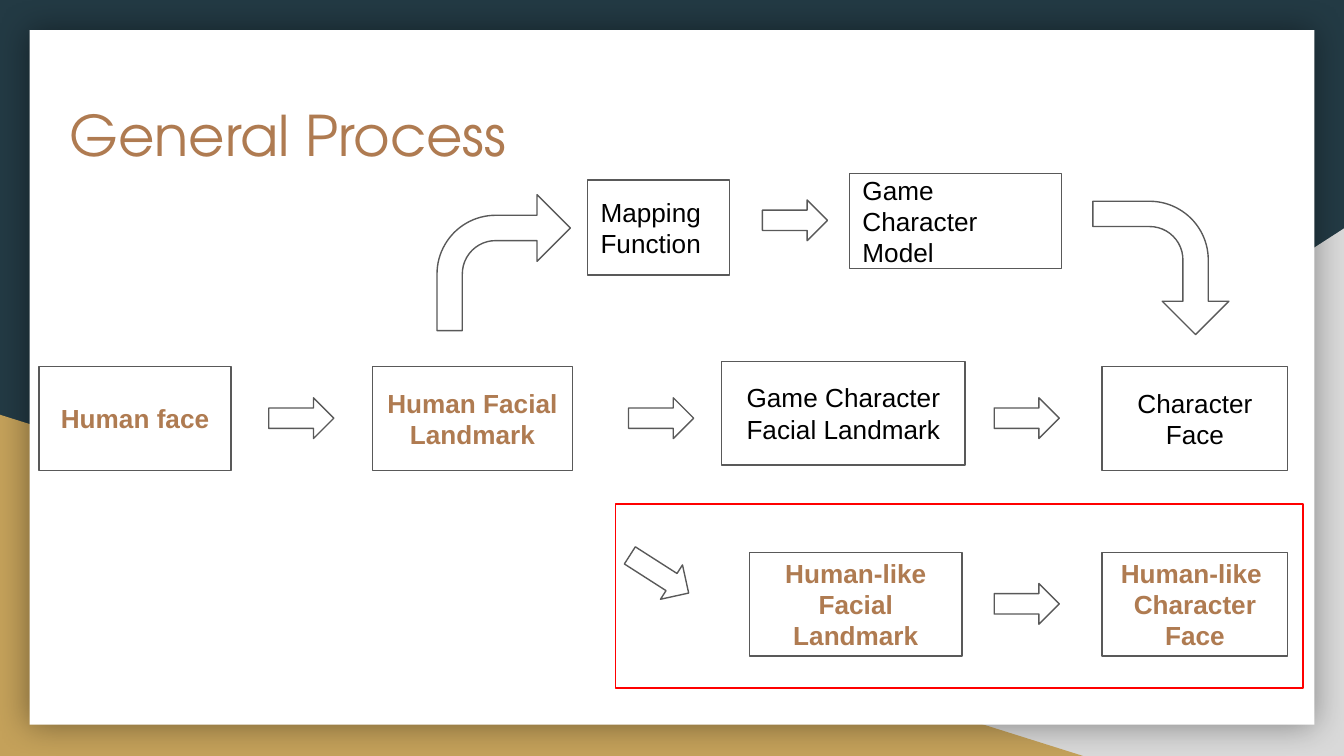
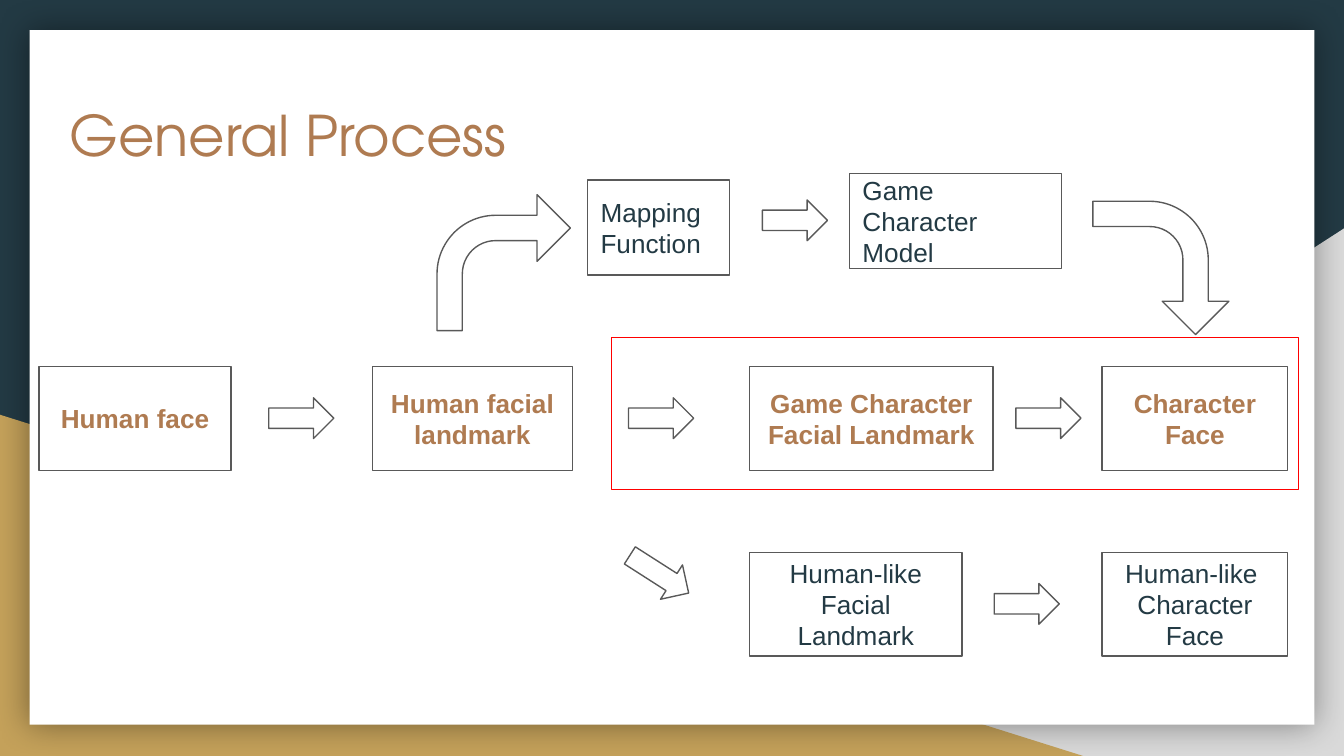
from lxml.etree import SubElement
from pptx import Presentation
from pptx.dml.color import RGBColor
from pptx.enum.shapes import MSO_SHAPE as Preset
from pptx.enum.text import MSO_ANCHOR as Anchor, MSO_AUTO_SIZE as AutoSize, PP_ALIGN as Align
from pptx.oxml.ns import qn
from pptx.util import Cm, Pt

# Colours
NAVY = RGBColor(0x23, 0x3A, 0x44)
GOLD = RGBColor(0xC4, 0xA1, 0x5A)
SILVER = RGBColor(0xD9, 0xD9, 0xD9)
BROWN = RGBColor(0xAF, 0x7B, 0x51)
GREY = RGBColor(0x59, 0x59, 0x59)
RED = RGBColor(0xFF, 0x00, 0x00)
BLACK = RGBColor(0, 0, 0)
WHITE = RGBColor(0xFF, 0xFF, 0xFF)

# Formats
INSET = Cm(0.25)
FRAME = {"margin_left": INSET, "margin_right": INSET, "margin_top": INSET,
         "margin_bottom": INSET, "word_wrap": True, "auto_size": AutoSize.NONE}
LABEL_FONT = {"name": "Arial", "size": Pt(14)}
TITLE_FONT = {"name": "TeX Gyre Adventor", "size": Pt(30), "bold": False}

# Grid in centimetres
ROW, LOWER_ROW = 6.93, 10.44
BOX_HEIGHT, TOP_HEIGHT = 1.96, 1.8
LANDMARK_X, FACE_X, FACE_WIDTH = 14.17, 20.83, 3.51
ARROW_SIZE = (1.23, 0.77)
BENT_SIZE = (2.52, 2.57)

# What differs between the slides: wording, places, emphasised boxes, frame
VARIANTS = [
    {"human": "Human Facial Landmark", "game": (13.64, 6.83), "arrow_x": 18.79,
     "plain": BLACK, "strong": "lower", "frame": (11.63, 9.53, 13, 3.48)},
    {"human": "Human facial landmark", "game": (LANDMARK_X, ROW), "arrow_x": 19.2,
     "plain": NAVY, "strong": "middle", "frame": (11.56, 6.38, 12.98, 2.87)},
]


def draw(page, preset, place, fill=None, line=None):
    shape = page.shapes.add_shape(preset, *map(Cm, place))
    shape.shadow.inherit = False
    for part, color in ((shape.fill, fill), (shape.line.fill, line)):
        if color is None:
            part.background()
        else:
            part.solid()
            part.fore_color.rgb = color
    if line is not None:
        shape.line.width = Pt(0.75)
    return shape


def write(shape, text, font, color, align, anchor):
    box = shape.text_frame
    box.text = text
    for name, value in {**FRAME, "vertical_anchor": anchor}.items():
        setattr(box, name, value)
    for para in box.paragraphs:
        para.alignment = align
        for span in para.runs:
            for name, value in font.items():
                setattr(span.font, name, value)
            span.font.color.rgb = color


deck = Presentation()
deck.slide_width, deck.slide_height = Cm(25.4), Cm(14.29)

for variant in VARIANTS:
    page = deck.slides.add_slide(deck.slide_layouts[5])

    # Backdrop: two corner triangles and a white card with a soft shadow
    page.background.fill.solid()
    page.background.fill.fore_color.rgb = NAVY
    corner = draw(page, Preset.RIGHT_TRIANGLE, (9.96, 4.32, 15.44, 9.97), SILVER)
    corner.element.spPr.find(qn("a:xfrm")).set("flipH", "1")
    draw(page, Preset.RIGHT_TRIANGLE, (0, 7.84, 20.47, 6.45), GOLD)
    card = draw(page, Preset.RECTANGLE, (0.56, 0.57, 24.28, 13.13), WHITE)
    effects = card.element.spPr.find(qn("a:effectLst"))
    shadow = SubElement(effects, qn("a:outerShdw"), blurRad=str(Pt(18)), dist="0",
                        algn="bl", rotWithShape="0")
    tint = SubElement(shadow, qn("a:srgbClr"), val="000000")
    SubElement(tint, qn("a:alpha"), val="40000")

    # Title, lifted above the card
    title = page.shapes.title
    title.left, title.top, title.width, title.height = map(Cm, (1.06, 1.65, 20.85, 2.64))
    write(title, "General Process", TITLE_FONT, BROWN, Align.LEFT, Anchor.TOP)
    title.element.getparent().append(title.element)

    # Process boxes: group, text, place
    boxes = [
        ("human", "Human face", (0.74, ROW, 3.63, BOX_HEIGHT)),
        ("human", variant["human"], (7.04, ROW, 3.78, BOX_HEIGHT)),
        ("middle", "Game Character Facial Landmark", (*variant["game"], 4.6, BOX_HEIGHT)),
        ("middle", "Character Face", (FACE_X, ROW, FACE_WIDTH, BOX_HEIGHT)),
        ("top", "Mapping Function", (11.1, 3.4, 2.69, TOP_HEIGHT)),
        ("top", "Game Character Model", (16.05, 3.28, 4.01, TOP_HEIGHT)),
        ("lower", "Human-like Facial Landmark", (LANDMARK_X, LOWER_ROW, 4.01, BOX_HEIGHT)),
        ("lower", "Human-like \nCharacter Face", (FACE_X, LOWER_ROW, FACE_WIDTH, BOX_HEIGHT)),
    ]
    for group, text, place in boxes:
        strong = group in ("human", variant["strong"])
        box = draw(page, Preset.RECTANGLE, place, WHITE if group == "top" else None, GREY)
        write(box, text, {**LABEL_FONT, "bold": strong},
              BROWN if strong else variant["plain"],
              Align.LEFT if group == "top" else Align.CENTER, Anchor.MIDDLE)

    # Straight arrows
    for x, y in ((5.08, 7.52), (11.88, 7.52), (variant["arrow_x"], 7.52),
                 (14.41, 3.78), (18.79, 11.03)):
        draw(page, Preset.RIGHT_ARROW, (x, y, *ARROW_SIZE), line=GREY)
    branch = draw(page, Preset.RIGHT_ARROW, (11.8, 10.47, 1.32, 0.77), line=GREY)
    branch.rotation = 32.6

    # Bent arrows up to the mapping and down to the face
    for x, y, turn in ((8.26, 3.68, 0), (20.68, 3.78, 90)):
        bend = draw(page, Preset.BENT_ARROW, (x, y, *BENT_SIZE), WHITE, GREY)
        bend.rotation = turn
        for index, value in enumerate((0.19, 0.25, 0.25, 0.44)):
            bend.adjustments[index] = value

    # Red frame around the emphasised branch
    draw(page, Preset.RECTANGLE, variant["frame"], line=RED)

deck.save("out.pptx")
